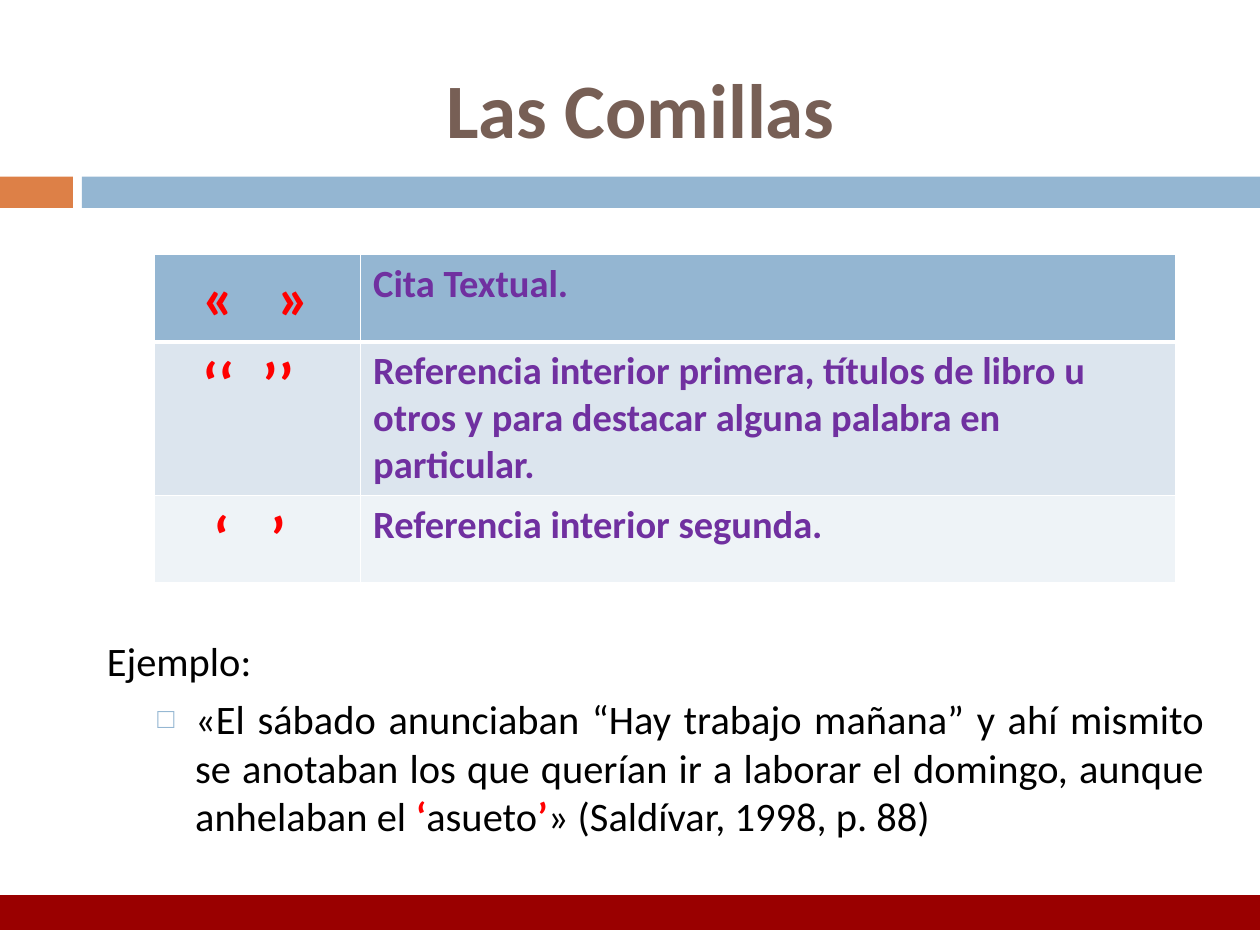
from dataclasses import dataclass

from lxml import etree
from pptx import Presentation
from pptx import util as u
from pptx.dml.color import RGBColor
from pptx.enum import shapes, text
from pptx.oxml import ns


@dataclass
class Theme:
    face: str = "Calibri"
    brown: str = "775F55"
    rust: str = "DD8047"
    blue: str = "94B6D2"
    pale: str = "DCE5EE"
    light: str = "EEF3F7"
    wine: str = "9A0000"
    red: str = "FF0000"
    plum: str = "7030A0"
    black: str = "000000"
    white: str = "FFFFFF"
    head: float = 44
    mark: float = 35
    cell: float = 22
    body: float = 23.1


def style(font, tint, **form):
    for key, val in {"name": theme.face, **form}.items():
        setattr(font, key, val)
    font.color.rgb = RGBColor.from_string(tint)


def add(root, tag, **form):
    """Append a DrawingML element with the given attributes."""
    node = etree.SubElement(root, ns.qn(tag))
    for key, val in form.items():
        node.set(key, str(val))
    return node


theme = Theme()
deck = Presentation()
deck.slide_width, deck.slide_height = u.Cm(25.4), u.Cm(19.05)
slide = deck.slides.add_slide(deck.slide_layouts[1])
title, body = slide.placeholders

# Bands under the title
for left, width, tint in [(0, 1.47, theme.rust), (1.65, 23.75, theme.blue)]:
    band = slide.shapes.add_shape(
        shapes.MSO_SHAPE.RECTANGLE, u.Cm(left), u.Cm(3.56), u.Cm(width), u.Cm(0.63))
    band.shadow.inherit = False
    band.fill.solid()
    band.fill.fore_color.rgb = RGBColor.from_string(tint)
    band.line.fill.background()

# Bottom rule
rule = slide.shapes.add_connector(
    shapes.MSO_CONNECTOR.STRAIGHT, 0, u.Cm(18.39), u.Cm(25.4), u.Cm(18.39))
rule.line.width = u.Pt(20)
rule.line.color.rgb = RGBColor.from_string(theme.wine)
add(rule._element.spPr, "a:effectLst")

# Title and body frames
for box, spot, anchor in [
    (title, (4.72, 0.33, 16.4, 3.68), text.MSO_ANCHOR.MIDDLE),
    (body, (1.9, 12.7, 22.66, 4.4), text.MSO_ANCHOR.TOP),
]:
    box.left, box.top, box.width, box.height = map(u.Cm, spot)
    frame = box.text_frame
    form = {"word_wrap": True, "auto_size": text.MSO_AUTO_SIZE.NONE,
            "vertical_anchor": anchor}
    for key, val in form.items():
        setattr(frame, key, val)

title.text_frame.text = "Las Comillas"
para = title.text_frame.paragraphs[0]
para.alignment = text.PP_ALIGN.CENTER
style(para.runs[0].font, theme.brown, size=u.Pt(theme.head), bold=True)

# Example
intro = body.text_frame.paragraphs[0]
quote = body.text_frame.add_paragraph()
quote.level = 1
for para, left, hang, gap in [(intro, 0, 0, 0), (quote, 1.78, -0.76, 5.5)]:
    props = para._p.get_or_add_pPr()
    props.set("marL", str(u.Cm(left)))
    props.set("indent", str(u.Cm(hang)))
    para.alignment = text.PP_ALIGN.JUSTIFY
    para.space_before = u.Pt(gap)

add(intro._p.pPr, "a:buNone")
add(add(quote._p.pPr, "a:buClr"), "a:srgbClr", val=theme.blue)
add(quote._p.pPr, "a:buSzPct", val=70000)
add(quote._p.pPr, "a:buChar", char="□")

for para, words, mark in [
    (intro, "Ejemplo:", False),
    (quote, "«El sábado anunciaban “Hay trabajo mañana” y ahí mismito se anotaban "
            "los que querían ir a laborar el domingo, aunque anhelaban el ", False),
    (quote, "‘", True),
    (quote, "asueto", False),
    (quote, "’", True),
    (quote, "» (Saldívar, 1998, p. 88)", False),
]:
    run = para.add_run()
    run.text = words
    style(run.font, theme.red if mark else theme.black,
          size=u.Pt(theme.body), bold=mark)

# Table: marks, left margin, tab stop, use, row height, fill
rows = [
    ("«\t»", 0.99, 1.5, "Cita Textual.", 1.76, theme.blue),
    ("‘‘\t’’", 0.99, 1.2, "Referencia interior primera, títulos de libro u otros "
     "y para destacar alguna palabra en particular.", 3.1, theme.pale),
    ("‘\t’", 1.2, 1.15, "Referencia interior segunda.", 1.76, theme.light),
]
grid = slide.shapes.add_table(
    len(rows), 2, u.Cm(3.1), u.Cm(5.13), u.Cm(20.6), u.Cm(6.62)).table
for col, width in zip(grid.columns, (4.17, 16.43)):
    col.width = u.Cm(width)

for i, (marks, left, stop, use, height, fill) in enumerate(rows):
    grid.rows[i].height = u.Cm(height)
    pair = [(marks, theme.red, theme.mark), (use, theme.plum, theme.cell)]
    for cell, (words, tint, size) in zip(grid.rows[i].cells, pair):
        props = cell._tc.get_or_add_tcPr()
        for side in "LRTB":
            thick = (side, i) in (("B", 0), ("T", 1))
            edge = add(props, f"a:ln{side}", w=u.Pt(3 if thick else 1))
            add(add(edge, "a:solidFill"), "a:srgbClr", val=theme.white)
        cell.fill.solid()
        cell.fill.fore_color.rgb = RGBColor.from_string(fill)
        cell.text = words
        run = cell.text_frame.paragraphs[0].runs[0]
        style(run.font, tint, size=u.Pt(size), bold=True)
    cell = grid.cell(i, 0)
    cell.margin_left = u.Cm(left)
    tabs = add(cell.text_frame.paragraphs[0]._p.get_or_add_pPr(), "a:tabLst")
    add(tabs, "a:tab", pos=u.Cm(stop), algn="l")

deck.save("out.pptx")
